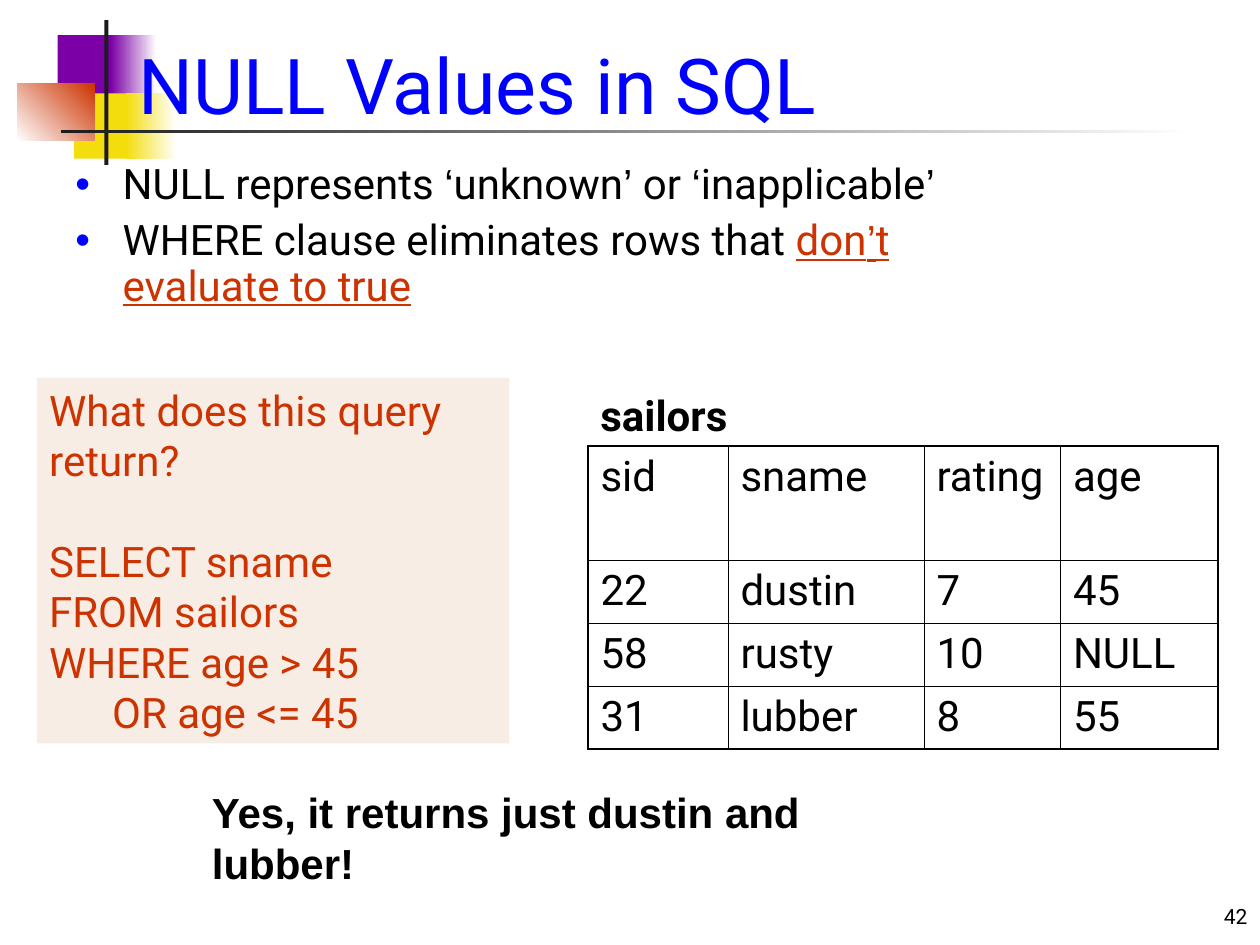
import pptx
import pptx.dml.color
import pptx.enum.dml
import pptx.enum.shapes
import pptx.enum.text
import pptx.oxml
import pptx.oxml.ns
import pptx.util

Pt = pptx.util.Pt
RGBColor = pptx.dml.color.RGBColor
Anchor = pptx.enum.text.MSO_ANCHOR
Align = pptx.enum.text.PP_ALIGN

BLACK = RGBColor(0x00, 0x00, 0x00)
WHITE = RGBColor(0xFF, 0xFF, 0xFF)
BLUE = RGBColor(0x00, 0x00, 0xFF)
RED = RGBColor(0xCC, 0x33, 0x00)
PURPLE = RGBColor(0x7B, 0x00, 0xA6)
YELLOW = RGBColor(0xF3, 0xDD, 0x0D)
CHARCOAL = RGBColor(0x1C, 0x1C, 0x1C)
CREAM = RGBColor(0xF2, 0xDD, 0xCA)

BODY_FORMAT = {"name": "Roboto", "size": Pt(24), "bold": False, "color": BLACK}
QUOTE = {"name": "Arial"}
STRESS = {"color": RED, "underline": True}


def set_attributes(target, values):
    for name, value in values.items():
        setattr(target, name, value)


def add_run(paragraph, text, **changes):
    run = paragraph.add_run()
    run.text = text
    values = {**BODY_FORMAT, **changes}
    run.font.color.rgb = values.pop("color")
    set_attributes(run.font, values)


def points(box):
    return [Pt(value) for value in box]


def set_frame(frame, anchor=Anchor.TOP):
    set_attributes(frame, {
        "word_wrap": True, "vertical_anchor": anchor,
        "margin_left": Pt(7.2), "margin_right": Pt(7.2),
        "margin_top": Pt(3.6), "margin_bottom": Pt(3.6),
    })


def add_text_box(slide, box, anchor=Anchor.TOP):
    frame = slide.shapes.add_textbox(*points(box)).text_frame
    set_frame(frame, anchor)
    return frame


def add_rectangle(slide, box, start, end=None, angle=0):
    shape = slide.shapes.add_shape(pptx.enum.shapes.MSO_SHAPE.RECTANGLE, *points(box))
    shape.shadow.inherit = False
    shape.line.fill.background()
    if end is None:
        shape.fill.solid()
        shape.fill.fore_color.rgb = start
    else:
        shape.fill.gradient()
        shape.fill.gradient_angle = angle
        for stop, position, color in zip(shape.fill.gradient_stops, (0, 1), (start, end)):
            stop.position = position
            stop.color.rgb = color
    return shape


def add_ornament(slide, box):
    left, top, width, height = box
    for x, y, w, h, *colors in (
        (23, 8.6, 34.6, 37.4, PURPLE),
        (53.3, 8.6, 26, 37.4, PURPLE, WHITE),
        (32.4, 41.8, 33.1, 37.4, YELLOW),
        (62, 41.8, 28.8, 37.4, YELLOW, WHITE),
        (0, 36, 44, 33.1, WHITE, RED, 45),
        (49.7, 0, 2.3, height, CHARCOAL),
        (24.8, 62.5, width - 24.8, 2.3, CHARCOAL, WHITE),
    ):
        add_rectangle(slide, (left + x, top + y, w, h), *colors)


def add_title(slide, box):
    title = slide.shapes.title
    title.element.getparent().append(title.element)
    set_attributes(title, dict(zip(("left", "top", "width", "height"), points(box))))
    set_frame(title.text_frame, Anchor.BOTTOM)
    paragraph = title.text_frame.paragraphs[0]
    paragraph.alignment = Align.LEFT
    add_run(paragraph, "NULL Values in SQL", size=Pt(44), color=BLUE)


def add_bullet(paragraph):
    properties = paragraph._p.get_or_add_pPr()
    properties.set("marL", str(Pt(27)))
    properties.set("indent", str(-Pt(27)))
    namespace = pptx.oxml.ns.nsdecls("a")
    for xml in (
        f'<a:buClr {namespace}><a:srgbClr val="{BLUE}"/></a:buClr>',
        f'<a:buFont {namespace} typeface="Arial"/>',
        f'<a:buChar {namespace} char="•"/>',
    ):
        properties.append(pptx.oxml.parse_xml(xml))


def add_facts(slide, box):
    facts = (
        (("NULL represents ", {}), ("‘", QUOTE), ("unknown", {}), ("’", QUOTE),
         (" or ", {}), ("‘", QUOTE), ("inapplicable", {}), ("’", QUOTE)),
        (("WHERE clause eliminates rows that ", {}), ("don", STRESS),
         ("’", {**STRESS, **QUOTE}), ("t evaluate to true", STRESS)),
    )
    frame = add_text_box(slide, box)
    for index, runs in enumerate(facts):
        paragraph = frame.add_paragraph() if index else frame.paragraphs[0]
        add_bullet(paragraph)
        paragraph.line_spacing = 0.9
        paragraph.space_before = Pt(6 if index else 0)
        for text, changes in runs:
            add_run(paragraph, text, **changes)


def add_query(slide, box):
    shape = add_rectangle(slide, box, CREAM)
    color = shape.fill._xPr.find(".//" + pptx.oxml.ns.qn("a:srgbClr"))
    color.append(pptx.oxml.parse_xml(
        f'<a:alpha {pptx.oxml.ns.nsdecls("a")} val="50000"/>'))
    frame = shape.text_frame
    set_frame(frame, Anchor.MIDDLE)
    lines = ("What does this query return?", "SELECT sname", "FROM sailors",
             "WHERE age > 45", "\tOR age <= 45")
    for index, line in enumerate(lines):
        paragraph = frame.add_paragraph() if index else frame.paragraphs[0]
        paragraph.alignment = Align.LEFT
        paragraph.space_before = Pt(28.8 if index == 1 else 0)
        add_run(paragraph, line, color=RED)


def set_borders(cell, widths):
    properties = cell._tc.get_or_add_tcPr()
    for index, (side, width) in enumerate(widths.items()):
        properties.insert(index, pptx.oxml.parse_xml(
            f'<a:ln{side} {pptx.oxml.ns.nsdecls("a")} w="{Pt(width)}">'
            f'<a:solidFill><a:srgbClr val="{BLACK}"/></a:solidFill></a:ln{side}>'))


def add_sailors(slide, box):
    left, top, width, height = box
    caption_height = 36
    caption = add_text_box(slide, (left, top, 138, caption_height))
    add_run(caption.paragraphs[0], "sailors", bold=True)

    rows = (("sid", "sname", "rating", "age"), ("22", "dustin", "7", "45"),
            ("58", "rusty", "10", "NULL"), ("31", "lubber", "8", "55"))
    last_row, last_column = len(rows) - 1, len(rows[0]) - 1
    table = slide.shapes.add_table(
        len(rows), len(rows[0]),
        *points((left, top + caption_height, width, height - caption_height))).table
    set_attributes(table, {"first_row": False, "horz_banding": False})
    for column, column_width in zip(table.columns, (80, 112, 78, 90)):
        column.width = Pt(column_width)
    for row, row_height in zip(table.rows, (65, 36, 36, 36)):
        row.height = Pt(row_height)
    for r, values in enumerate(rows):
        for c, value in enumerate(values):
            cell = table.cell(r, c)
            cell.fill.background()
            edges = {"L": c == 0, "R": c == last_column, "T": r == 0, "B": r == last_row}
            set_borders(cell, {side: 1.08 if outer else 0.45 for side, outer in edges.items()})
            add_run(cell.text_frame.paragraphs[0], value)


def add_answer(slide, box):
    frame = add_text_box(slide, box)
    add_run(frame.paragraphs[0], "Yes, it returns just dustin and lubber!",
            name="Arial", bold=True)


def add_slide_number(slide, box):
    paragraph = add_text_box(slide, box, Anchor.BOTTOM).paragraphs[0]
    paragraph.alignment = Align.RIGHT
    add_run(paragraph, "42", size=Pt(12))


def main():
    presentation = pptx.Presentation()
    presentation.slide_width = Pt(720)
    presentation.slide_height = Pt(540)
    slide = presentation.slides.add_slide(presentation.slide_layouts[5])
    add_ornament(slide, (10, 11.5, 672.6, 82.8))
    add_slide_number(slide, (570, 498, 150, 36))
    add_title(slide, (72, -12, 636, 90))
    add_facts(slide, (36, 90, 564, 108))
    add_query(slide, (21, 216, 270, 208.8))
    add_sailors(slide, (336, 219, 360, 209))
    add_answer(slide, (114, 446, 360, 65))
    presentation.save("out.pptx")


if __name__ == "__main__":
    main()
